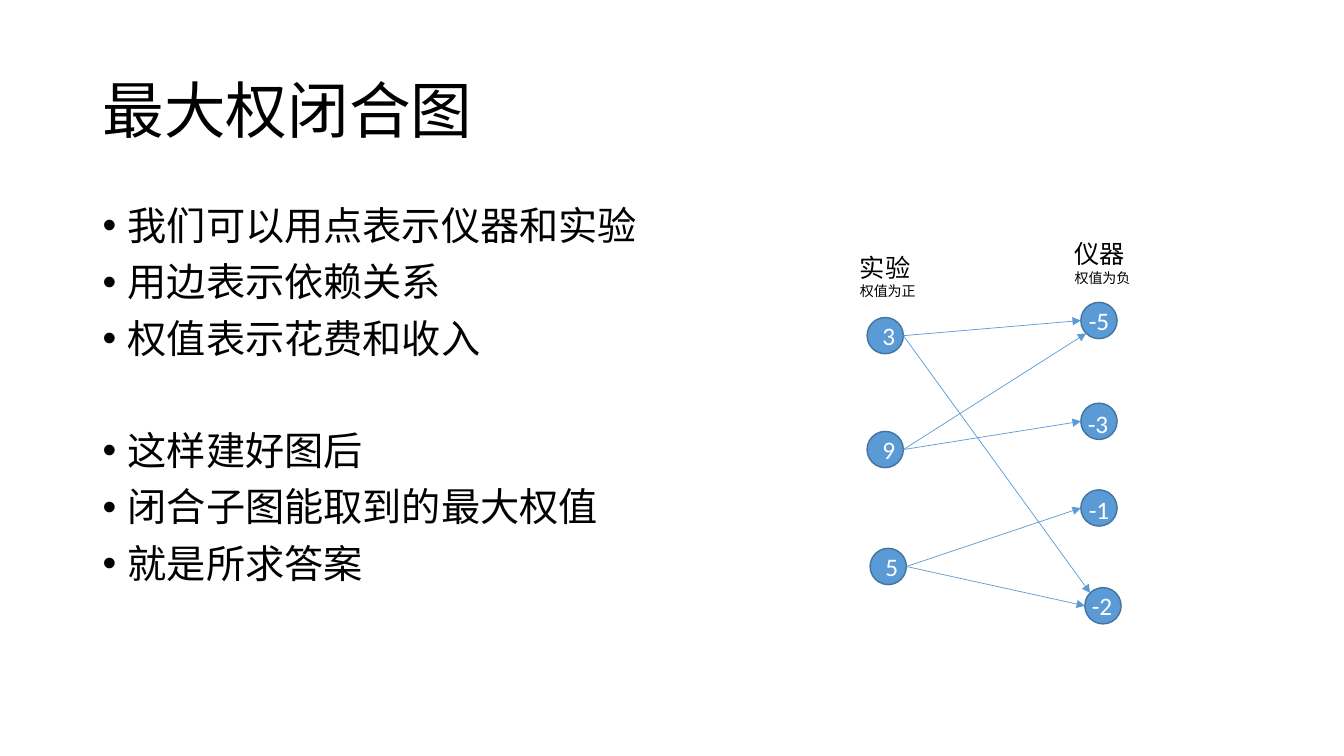
import math

import pptx
import pptx.dml.color
import pptx.enum.shapes
import pptx.enum.text
import pptx.oxml
import pptx.oxml.ns
import pptx.util

Inches = pptx.util.Inches
Pt = pptx.util.Pt
FONT = "Calibri"
BLACK, WHITE = "000000", "FFFFFF"
NODE_FILL, NODE_LINE = "5B9BD5", "43739E"
NODE_SIZE = 0.36

# value: (left, top)
EXPERIMENTS = {"3": (8.6, 3.15), "9": (8.6, 4.28), "5": (8.63, 5.44)}
# value: (left, top, label left, label top)
INSTRUMENTS = {
    "-5": (10.72, 3, 10.7, 2.98),
    "-3": (10.72, 4, 10.69, 4),
    "-1": (10.72, 4.86, 10.7, 4.85),
    "-2": (10.76, 5.83, 10.73, 5.81),
}
# experiment, instrument, angle on the instrument's rim where the arrow ends
DEPENDENCIES = [
    ("3", "-5", 180), ("3", "-2", 225),
    ("9", "-5", 135), ("9", "-3", 180),
    ("5", "-1", 180), ("5", "-2", 180),
]
# text, space before in points
POINTS = [
    ("我们可以用点表示仪器和实验", 10),
    ("用边表示依赖关系", 10),
    ("权值表示花费和收入", 10),
    ("这样建好图后", 50),
    ("闭合子图能取到的最大权值", 10),
    ("就是所求答案", 10),
]


def rgb(value):
    """Turn a hex string into a colour."""
    return pptx.dml.color.RGBColor.from_string(value)


def add_xml(parent, tag, **attributes):
    """Append a drawing element with attributes to parent."""
    child = pptx.oxml.parse_xml(f"<a:{tag} {pptx.oxml.ns.nsdecls('a')}/>")
    for name, value in attributes.items():
        child.set(name, value)
    parent.append(child)


def style(para, size, color):
    """Set the font of a paragraph."""
    para.font.name = FONT
    para.font.size = Pt(size)
    para.font.color.rgb = rgb(color)


def add_text(page, left, top, width, height, lines, color=BLACK, wrap=True):
    """Add a text box with one paragraph per (text, size) pair."""
    box = page.shapes.add_textbox(Inches(left), Inches(top), Inches(width), Inches(height))
    frame = box.text_frame
    frame.word_wrap = wrap
    for index, (text, size) in enumerate(lines):
        para = frame.paragraphs[0] if index == 0 else frame.add_paragraph()
        para.text = text
        style(para, size, color)
    return frame


def add_title(page, text):
    """Add the slide heading."""
    frame = add_text(page, 0.92, 0.4, 11.5, 1.45, [(text, 44)])
    frame.vertical_anchor = pptx.enum.text.MSO_ANCHOR.MIDDLE
    frame.paragraphs[0].line_spacing = 0.9


def add_bullets(page, points):
    """Add the bulleted list."""
    frame = add_text(page, 0.92, 2, 11.5, 5.08, [(text, 28) for text, _ in points])
    for para, (_, space) in zip(frame.paragraphs, points):
        para.line_spacing = 0.9
        para.space_before = Pt(space)
        properties = para._p.get_or_add_pPr()
        properties.set("marL", str(Inches(0.25)))
        properties.set("indent", str(Inches(-0.25)))
        add_xml(properties, "buFont", typeface="Arial")
        add_xml(properties, "buChar", char="•")


def add_node(page, left, top, value=""):
    """Add a graph node, with its value inside if given."""
    node = page.shapes.add_shape(
        pptx.enum.shapes.MSO_SHAPE.OVAL,
        Inches(left), Inches(top), Inches(NODE_SIZE), Inches(NODE_SIZE))
    node.shadow.inherit = False
    node.fill.solid()
    node.fill.fore_color.rgb = rgb(NODE_FILL)
    node.line.color.rgb = rgb(NODE_LINE)
    node.line.width = Pt(1)
    if value:
        frame = node.text_frame
        frame.vertical_anchor = pptx.enum.text.MSO_ANCHOR.MIDDLE
        para = frame.paragraphs[0]
        para.text = value
        para.alignment = pptx.enum.text.PP_ALIGN.CENTER
        style(para, 18, WHITE)


def rim_point(left, top, angle):
    """Return the point on a node's rim, clockwise from its right side."""
    radius = NODE_SIZE / 2
    turn = math.radians(angle)
    return (Inches(left + radius + radius * math.cos(turn)),
            Inches(top + radius + radius * math.sin(turn)))


def add_arrow(page, start, end):
    """Add a thin arrow between two points."""
    arrow = page.shapes.add_connector(
        pptx.enum.shapes.MSO_CONNECTOR.STRAIGHT, *start, *end)
    arrow.line.color.rgb = rgb(NODE_FILL)
    arrow.line.width = Pt(0.5)
    add_xml(arrow.line._get_or_add_ln(), "tailEnd", type="triangle")
    add_xml(arrow._element.spPr, "effectLst")


def main():
    """Build the slide and save it."""
    deck = pptx.Presentation()
    deck.slide_width = Inches(13.33)
    deck.slide_height = Inches(7.5)
    page = deck.slides.add_slide(deck.slide_layouts[6])

    add_title(page, "最大权闭合图")
    add_bullets(page, POINTS)
    for value, (left, top) in EXPERIMENTS.items():
        add_node(page, left, top, value)
    for left, top, _, _ in INSTRUMENTS.values():
        add_node(page, left, top)
    for experiment, instrument, angle in DEPENDENCIES:
        left, top = INSTRUMENTS[instrument][:2]
        add_arrow(page, rim_point(*EXPERIMENTS[experiment], 0), rim_point(left, top, angle))

    for left, top, name, note in [(8.43, 2.45, "实验", "权值为正"),
                                  (10.56, 2.32, "仪器", "权值为负")]:
        add_text(page, left, top, 0.76, 0.57, [(name, 18), (note, 10)], wrap=False)
    for value, (_, _, left, top) in INSTRUMENTS.items():
        add_text(page, left, top, 0.48, 0.41, [(value, 18)], WHITE)

    deck.save("out.pptx")


main()
